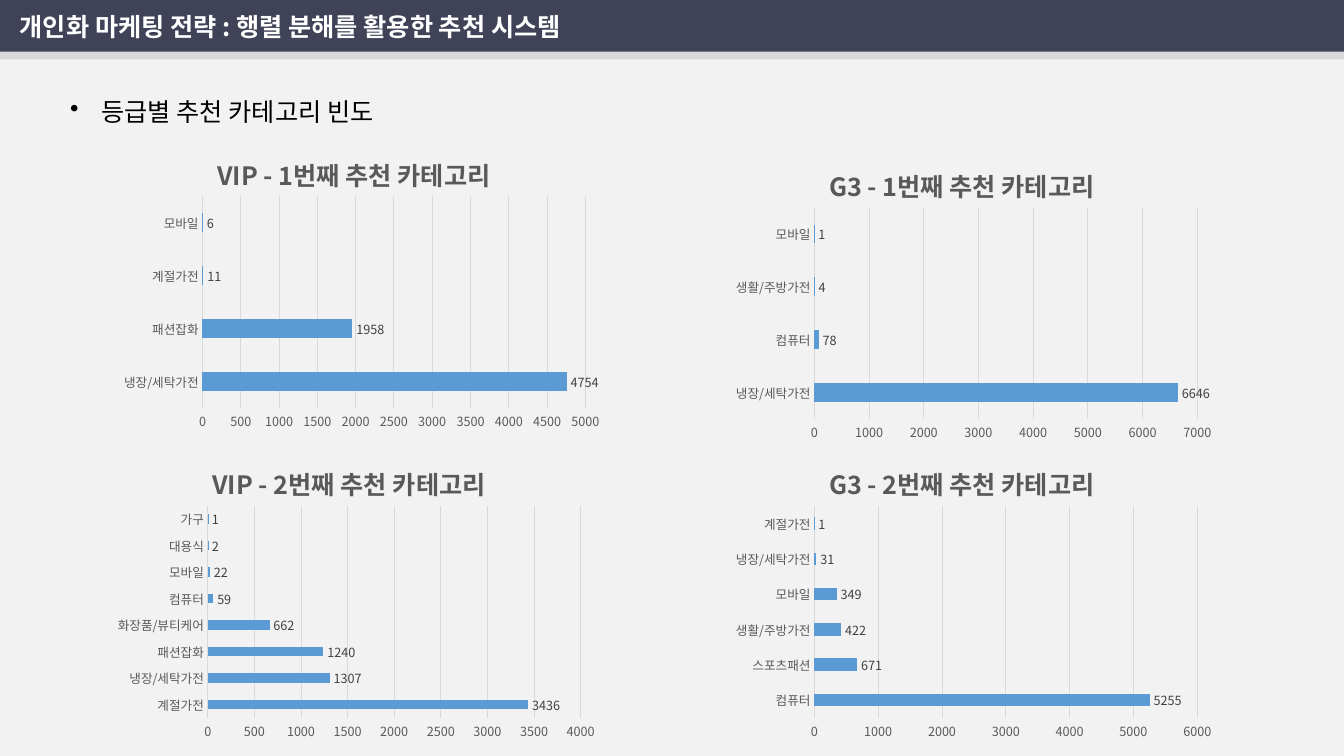
from copy import deepcopy
from dataclasses import dataclass

from lxml import etree
from pptx import Presentation
from pptx import util as u
from pptx.chart import data
from pptx.dml.color import RGBColor
from pptx.enum import chart as ch, shapes, text
from pptx.oxml import parse_xml
from pptx.oxml.ns import nsdecls, qn

Cm, Pt = u.Cm, u.Pt


@dataclass(frozen=True)
class Theme:
    face: str = "Noto Sans CJK KR"
    page: str = "F2F2F2"
    band: str = "404257"
    rule: str = "D9D9D9"
    white: str = "FFFFFF"
    black: str = "000000"
    gray: str = "595959"
    label: str = "404040"
    bar: str = "5B9BD5"
    head: int = 18
    base: int = 10
    small: int = 9


T = Theme()
WIDE, HIGH = 33.87, 19.05
CHART_W, CHART_H = 12.7, 7.62

CHARTS = [
    ("VIP - 1번째 추천 카테고리", (2.69, 3.35), (0.19, 0.76), (5000, 500),
     [("냉장/세탁가전", 4754), ("패션잡화", 1958), ("계절가전", 11), ("모바일", 6)]),
    ("VIP - 2번째 추천 카테고리", (2.57, 11.15), (0.21, 0.74), (4000, 500),
     [("계절가전", 3436), ("냉장/세탁가전", 1307), ("패션잡화", 1240),
      ("화장품/뷰티케어", 662), ("컴퓨터", 59), ("모바일", 22),
      ("대용식", 2), ("가구", 1)]),
    ("G3 - 1번째 추천 카테고리", (18.11, 3.63), (0.19, 0.76), (7000, 1000),
     [("냉장/세탁가전", 6646), ("컴퓨터", 78), ("생활/주방가전", 4), ("모바일", 1)]),
    ("G3 - 2번째 추천 카테고리", (18.11, 11.15), (0.19, 0.76), (6000, 1000),
     [("컴퓨터", 5255), ("스포츠패션", 671), ("생활/주방가전", 422),
      ("모바일", 349), ("냉장/세탁가전", 31), ("계절가전", 1)]),
]


def rgb(code):
    return RGBColor.from_string(code)


def style(font, size, color, bold=False):
    font.name = T.face
    font.size = Pt(size)
    font.bold = bold
    font.color.rgb = rgb(color)


def match_asian(root):
    for latin in list(root.iter(qn("a:latin"))):
        asian = deepcopy(latin)
        asian.tag = qn("a:ea")
        latin.addnext(asian)


def add_bar(slide, box, color):
    bar = slide.shapes.add_shape(shapes.MSO_SHAPE.RECTANGLE, *map(Cm, box))
    bar.shadow.inherit = False
    bar.fill.solid()
    bar.fill.fore_color.rgb = rgb(color)
    bar.line.fill.background()


def add_line(slide, box, words, color, bold=False):
    frame = slide.shapes.add_textbox(*map(Cm, box)).text_frame
    frame.word_wrap = False
    frame.vertical_anchor = text.MSO_ANCHOR.MIDDLE
    para = frame.paragraphs[0]
    para.text = words
    style(para.font, T.head, color, bold)
    return para


def add_header(slide, box):
    left, top, width, height = box
    add_bar(slide, (left, top, width, 1.32), T.band)
    add_bar(slide, (left, top + 1.3, width, height - 1.3), T.rule)
    add_line(slide, (left + 0.25, top + 0.15, 16, 1.02),
             "개인화 마케팅 전략 : 행렬 분해를 활용한 추천 시스템", T.white, True)


def add_topic(slide, box):
    para = add_line(slide, box, "등급별 추천 카테고리 빈도", T.black)
    props = para._p.get_or_add_pPr()
    props.set("marL", str(Cm(0.79)))
    props.set("indent", str(-Cm(0.79)))
    mark = etree.Element(qn("a:buChar"), char="•")
    props.find(qn("a:defRPr")).addprevious(mark)


def set_layout(node, **parts):
    old = node.find(qn("c:layout"))
    if old is not None:
        node.remove(old)
    inner = '<c:layoutTarget val="inner"/>' if "w" in parts else ""
    modes = "".join(f'<c:{k}Mode val="edge"/>' for k in "xy")
    sizes = "".join(f'<c:{k} val="{v}"/>' for k, v in parts.items())
    layout = parse_xml(f'<c:layout {nsdecls("c")}><c:manualLayout>'
                       f'{inner}{modes}{sizes}</c:manualLayout></c:layout>')
    text_node = node.find(qn("c:tx"))
    if text_node is None:
        node.insert(0, layout)
    else:
        text_node.addnext(layout)


def set_title(chart, words):
    chart.has_title = True
    para = chart.chart_title.text_frame.paragraphs[0]
    para.text = words
    style(para.font, T.head, T.gray, True)
    chart.chart_title.include_in_layout = False
    set_layout(chart.chart_title._element, x=0.21, y=0.05)


def set_axes(chart, scale):
    cat, val = chart.category_axis, chart.value_axis
    for axis in (cat, val):
        axis.major_tick_mark = axis.minor_tick_mark = ch.XL_TICK_MARK.NONE
        style(axis.tick_labels.font, T.small, T.gray)
    cat.has_major_gridlines = False
    val.has_major_gridlines = True
    val.format.line.fill.background()
    for line in (cat.format.line, val.major_gridlines.format.line):
        line.color.rgb = rgb(T.rule)
        line.width = Pt(0.75)
    val.minimum_scale = 0
    val.maximum_scale, val.major_unit = scale


def add_graph(slide, box, title, span, scale, rows):
    source = data.CategoryChartData()
    names, counts = zip(*rows)
    source.categories = names
    source.add_series("Series 1", counts)
    chart = slide.shapes.add_chart(
        ch.XL_CHART_TYPE.BAR_CLUSTERED, *map(Cm, box), source).chart
    style(chart.font, T.base, T.black)
    chart.has_legend = False
    set_title(chart, title)
    set_axes(chart, scale)
    plot = chart.plots[0]
    plot.gap_width = 182
    plot.vary_by_categories = False
    fill = plot.series[0].format.fill
    fill.solid()
    fill.fore_color.rgb = rgb(T.bar)
    plot.has_data_labels = True
    labels = plot.data_labels
    labels.show_value = True
    labels.position = ch.XL_LABEL_POSITION.OUTSIDE_END
    style(labels.font, T.small, T.label)
    area = chart._chartSpace.find(f'{qn("c:chart")}/{qn("c:plotArea")}')
    set_layout(area, x=span[0], y=0.21, w=span[1], h=0.7)
    match_asian(chart._chartSpace)


def main():
    deck = Presentation()
    deck.slide_width, deck.slide_height = Cm(WIDE), Cm(HIGH)
    slide = deck.slides.add_slide(deck.slide_layouts[6])
    slide.background.fill.solid()
    slide.background.fill.fore_color.rgb = rgb(T.page)
    add_header(slide, (0, 0, WIDE, 1.5))
    add_topic(slide, (1.52, 2.3, 9.04, 1.02))
    for title, spot, span, scale, rows in CHARTS:
        add_graph(slide, (*spot, CHART_W, CHART_H), title, span, scale, rows)
    match_asian(slide.shapes._spTree)
    deck.save("out.pptx")


if __name__ == "__main__":
    main()
